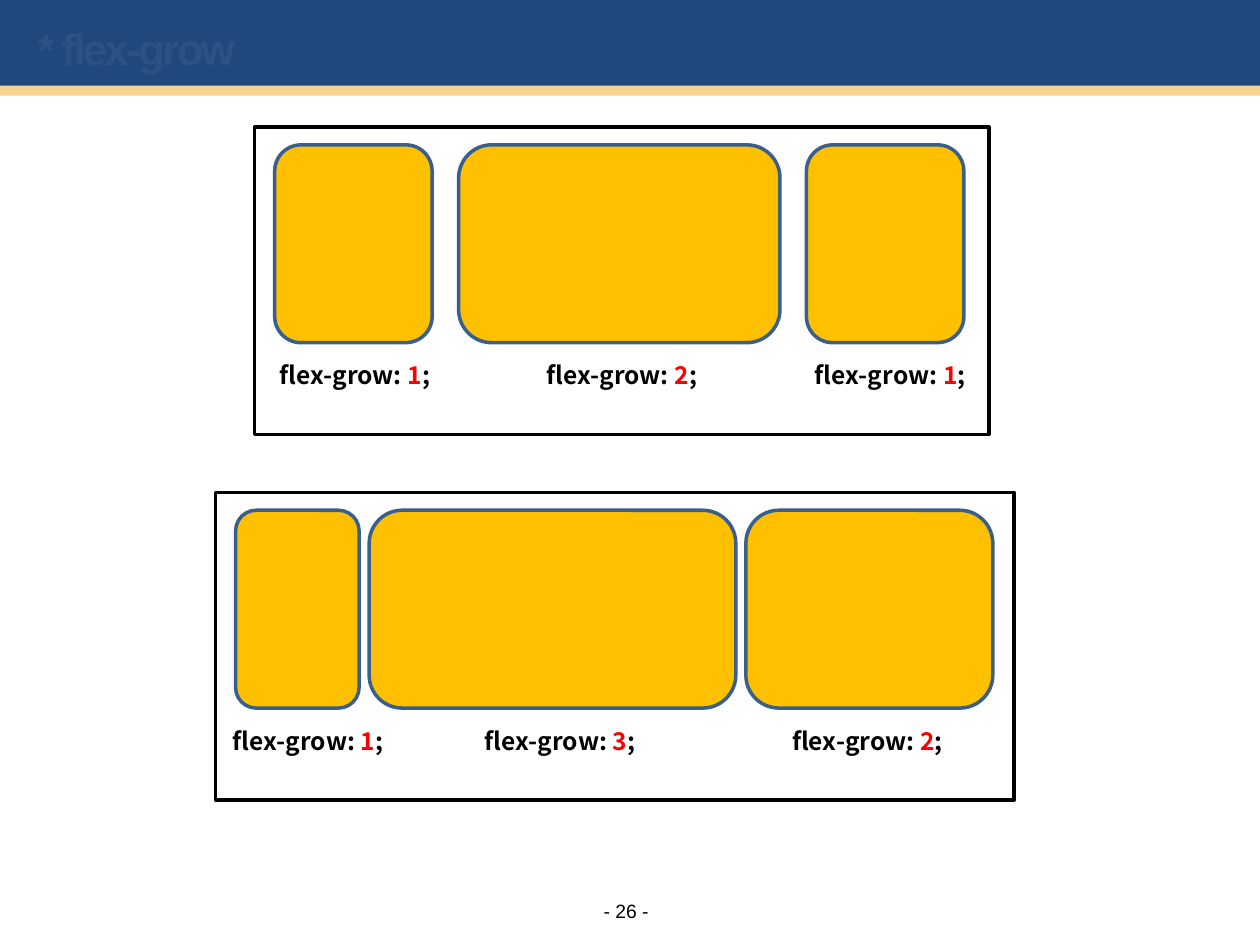
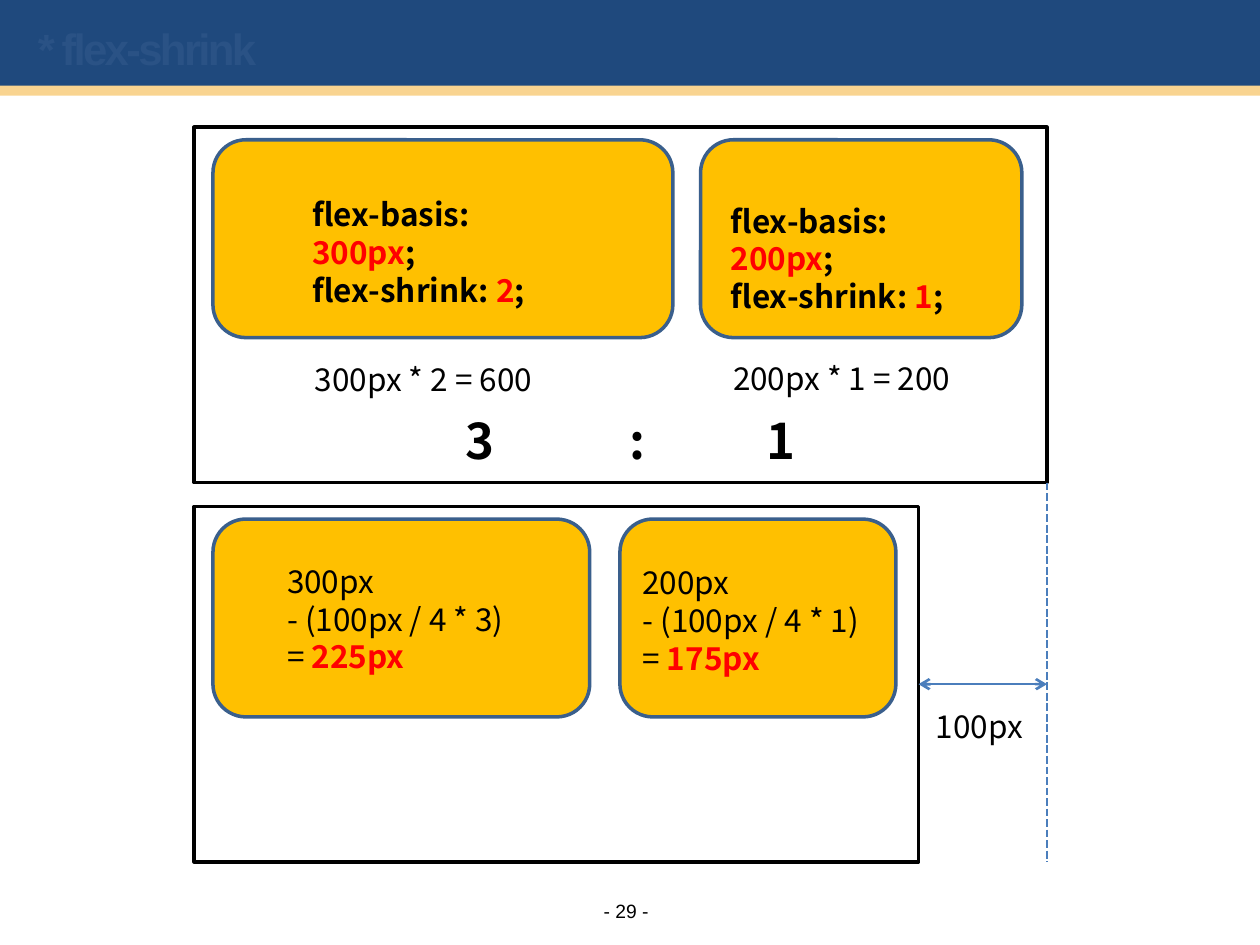
"""Build two slides that explain flex-grow and flex-shrink with box diagrams."""
from dataclasses import dataclass

from pptx import Presentation
from pptx.dml.color import RGBColor
from pptx.enum.dml import MSO_LINE
from pptx.enum.shapes import MSO_CONNECTOR, MSO_SHAPE
from pptx.enum.text import MSO_ANCHOR, PP_ALIGN
from pptx.oxml.ns import qn
from pptx.util import Inches, Pt
from lxml.etree import SubElement


@dataclass(frozen=True)
class Theme:
    navy: str = "1F497D"
    sand: str = "F9D490"
    title: str = "2A5285"
    ink: str = "000000"
    accent: str = "FF0000"
    item: str = "FFC000"
    edge: str = "3A5F8C"
    guide: str = "4B7EBC"
    sans: str = "Arial"
    body: str = "Noto Sans CJK KR"
    page_size: int = 11
    label_size: int = 14
    text_size: int = 18
    title_size: int = 25
    ratio_size: int = 28
    stroke: float = 2
    thin: float = 1.5


T = Theme()
prs = Presentation()
prs.slide_width, prs.slide_height = Inches(10), Inches(7.5)
U = prs.slide_width // 100


def shape(s, kind, box, fill=None, line=None):
    sp = s.shapes.add_shape(kind, *[round(v * U) for v in box])
    sp.shadow.inherit = False
    if fill:
        sp.fill.solid()
        sp.fill.fore_color.rgb = RGBColor.from_string(fill)
    else:
        sp.fill.background()
    if line:
        sp.line.color.rgb = RGBColor.from_string(line)
        sp.line.width = Pt(T.stroke)
    else:
        sp.line.fill.background()


def text(s, box, lines, size=T.text_size, bold=False, color=T.ink, font=T.body,
         align=PP_ALIGN.LEFT, anchor=MSO_ANCHOR.TOP, inset=None, holder=None,
         spacing=None, tabs=()):
    area = [round(v * U) for v in box]
    sp = holder or s.shapes.add_textbox(*area)
    sp.left, sp.top, sp.width, sp.height = area
    tf = sp.text_frame
    tf.word_wrap, tf.vertical_anchor = True, anchor
    if inset is not None:
        tf.margin_left = tf.margin_right = tf.margin_top = tf.margin_bottom = inset
    for i, content in enumerate(lines):
        p = tf.add_paragraph() if i else tf.paragraphs[0]
        p.alignment, p.line_spacing = align, Pt(size * 1.2)
        if tabs:
            stops = SubElement(p._p.get_or_add_pPr(), qn("a:tabLst"))
            for stop in tabs:
                SubElement(stops, qn("a:tab"), pos=str(round(stop * U)), algn="ctr")
        for j, part in enumerate(content.split("|")):
            if not part:
                continue
            r = p.add_run()
            r.text = part
            f = r.font
            f.size, f.name, f.bold = Pt(size), font, bold or j % 2 == 1
            f.color.rgb = RGBColor.from_string(T.accent if j % 2 else color)
            if spacing:
                r._r.get_or_add_rPr().set("spc", str(spacing))
    return sp


slides = []
for title, page in (("* flex-grow", 26), ("* flex-shrink", 29)):
    s = prs.slides.add_slide(prs.slide_layouts[5])
    shape(s, MSO_SHAPE.RECTANGLE, (0, -0.3, 100, 7.6), fill=T.navy)
    shape(s, MSO_SHAPE.RECTANGLE, (0, 6.8, 100, 0.8), fill=T.sand)
    holder = text(s, (2, 0.8, 90, 6), [title], size=T.title_size, bold=True,
                  color=T.title, font=T.sans, anchor=MSO_ANCHOR.MIDDLE,
                  holder=s.shapes.title, spacing=-150)
    s.shapes._spTree.append(holder._element)
    text(s, (46.6, 71.3, 6.2, 1.9), [f"- {page} -"], size=T.page_size, font=T.sans,
         align=PP_ALIGN.CENTER, anchor=MSO_ANCHOR.MIDDLE, inset=0)
    slides.append(s)
grow, shrink = slides

item_height = 15.7
grow_rows = [
    ((20.2, 10.1, 58.3, 24.4), 2.1, (12.5, 25.5, 12.5), (1, 2, 1), (19.8, 41, 62.3)),
    ((17.1, 39.1, 63.4, 24.4), 0.8, (9.8, 29.1, 19.6), (1, 3, 2), (16.1, 36.1, 60.5)),
]
for frame, gap, widths, factors, labels in grow_rows:
    shape(grow, MSO_SHAPE.RECTANGLE, frame, line=T.ink)
    x, y = frame[0] + 1.6, frame[1] + 1.4
    for width, factor, label in zip(widths, factors, labels):
        shape(grow, MSO_SHAPE.ROUNDED_RECTANGLE, (x, y, width, item_height),
              fill=T.item, line=T.edge)
        text(grow, (label, y + 16.6, 16.7, 3.4), [f"flex-grow: |{factor}|;"],
             size=T.label_size, bold=True, align=PP_ALIGN.CENTER)
        x += width + gap

shrink_rows = [
    ((15.4, 10.1, 67.7, 28.2), 2.2, (36.5, 25.5)),
    ((15.4, 40.2, 57.5, 28.2), 2.4, (29.9, 21.9)),
]
for frame, gap, widths in shrink_rows:
    shape(shrink, MSO_SHAPE.RECTANGLE, frame, line=T.ink)
    x = frame[0] + 1.5
    for width in widths:
        shape(shrink, MSO_SHAPE.ROUNDED_RECTANGLE, (x, frame[1] + 1, width, item_height),
              fill=T.item, line=T.edge)
        x += width + gap

columns = [
    (300, 2, 3, 225, (23.8, 15), (24, 28.1), (21.8, 44.1)),
    (200, 1, 1, 175, (57, 15.5), (57.2, 28), (50, 44.2)),
]
for basis, factor, share, result, rule_at, product_at, result_at in columns:
    text(shrink, (*rule_at, 22, 10.1),
         [f"flex-basis: |{basis}px|;", f"flex-shrink: |{factor}|;"], bold=True)
    text(shrink, (*product_at, 22.3, 4), [f"{basis}px * {factor} = {basis * factor}"])
    text(shrink, (*result_at, 20.2, 10.1),
         [f"{basis}px", f"- (100px / 4 * {share}) = |{result}px"])
text(shrink, (28.1, 32.1, 42.2, 5.7), ["\t3\t:\t1"], size=T.ratio_size, bold=True,
     tabs=(9, 21.5, 32.9))
text(shrink, (73.3, 55.6, 9.8, 4), ["100px"])

for ends, dashed in (((83.1, 38.3, 83.1, 68.4), True), ((72.9, 54.3, 83.1, 54.3), False)):
    c = shrink.shapes.add_connector(MSO_CONNECTOR.STRAIGHT, *[round(v * U) for v in ends])
    c.line.color.rgb = RGBColor.from_string(T.guide)
    c.line.width = Pt(T.thin)
    if dashed:
        c.line.dash_style = MSO_LINE.SQUARE_DOT
    else:
        for tip in ("a:headEnd", "a:tailEnd"):
            SubElement(c.line._get_or_add_ln(), qn(tip), type="arrow")
    SubElement(c._element.spPr, qn("a:effectLst"))

prs.save("out.pptx")
